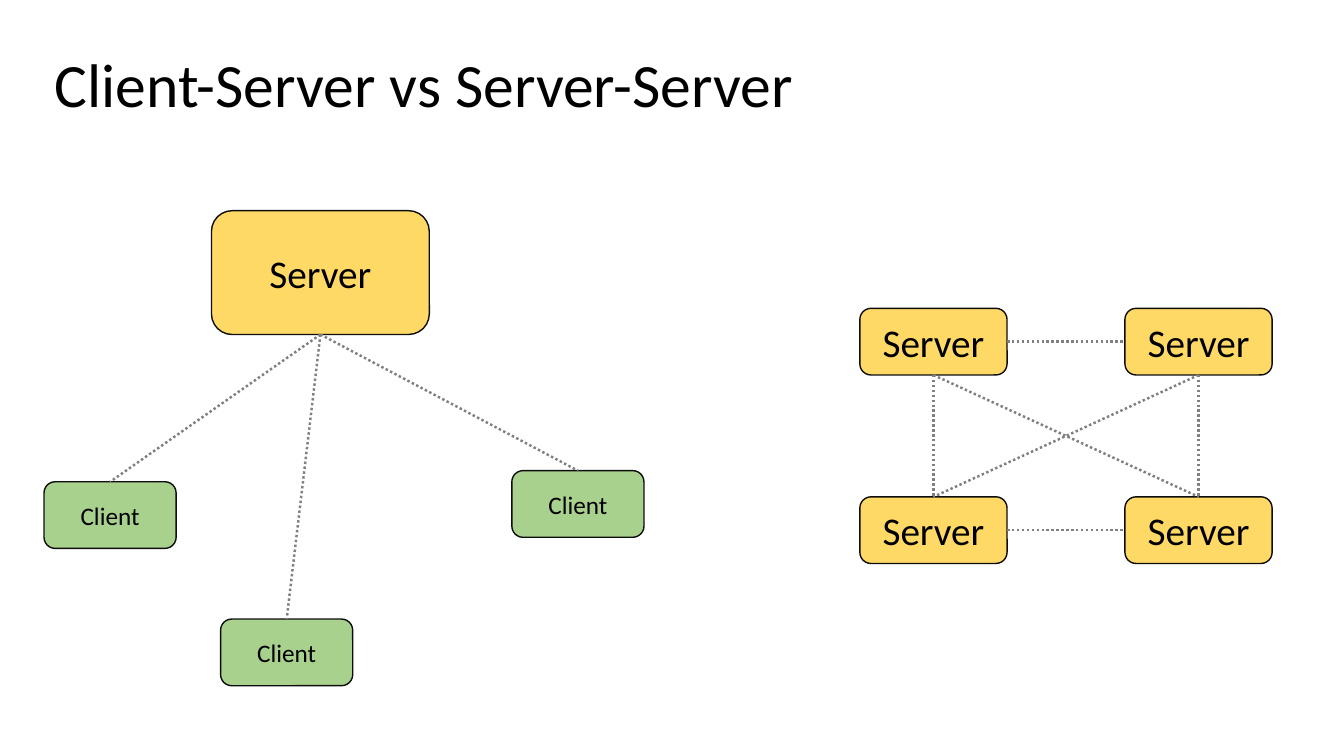
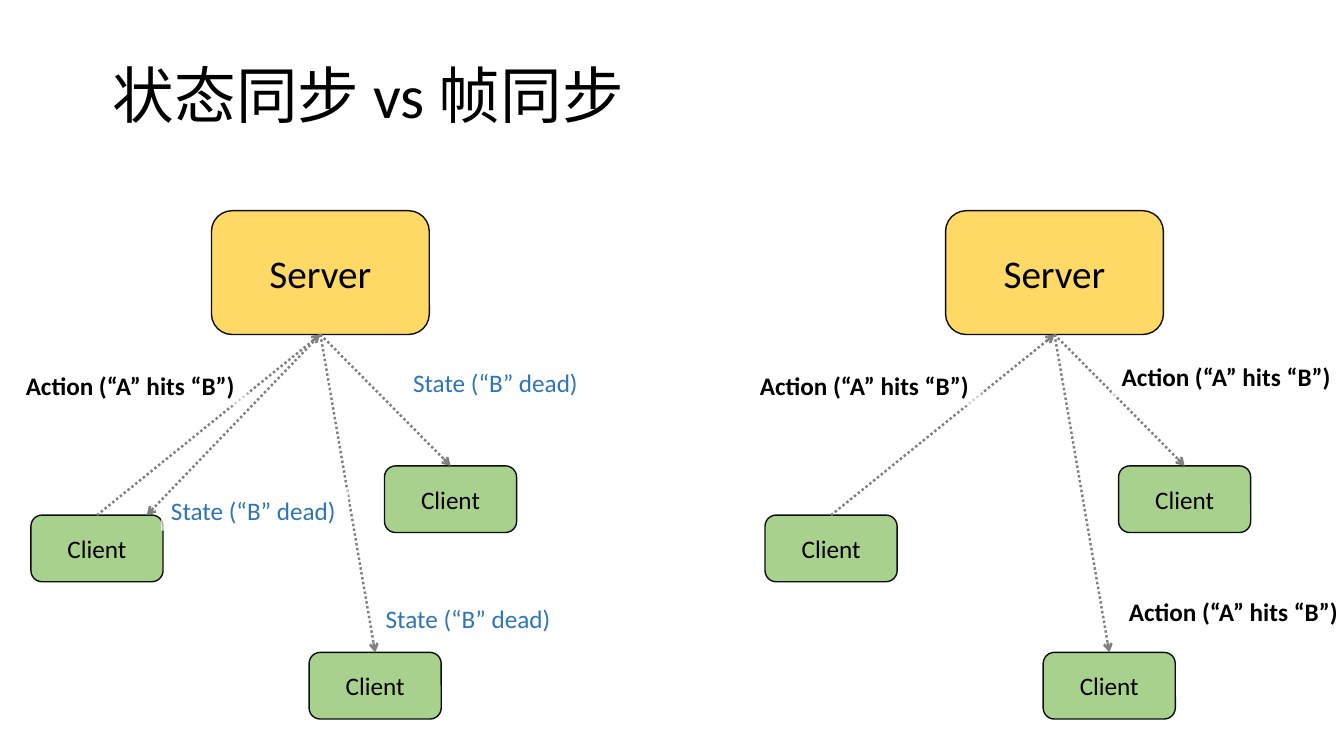
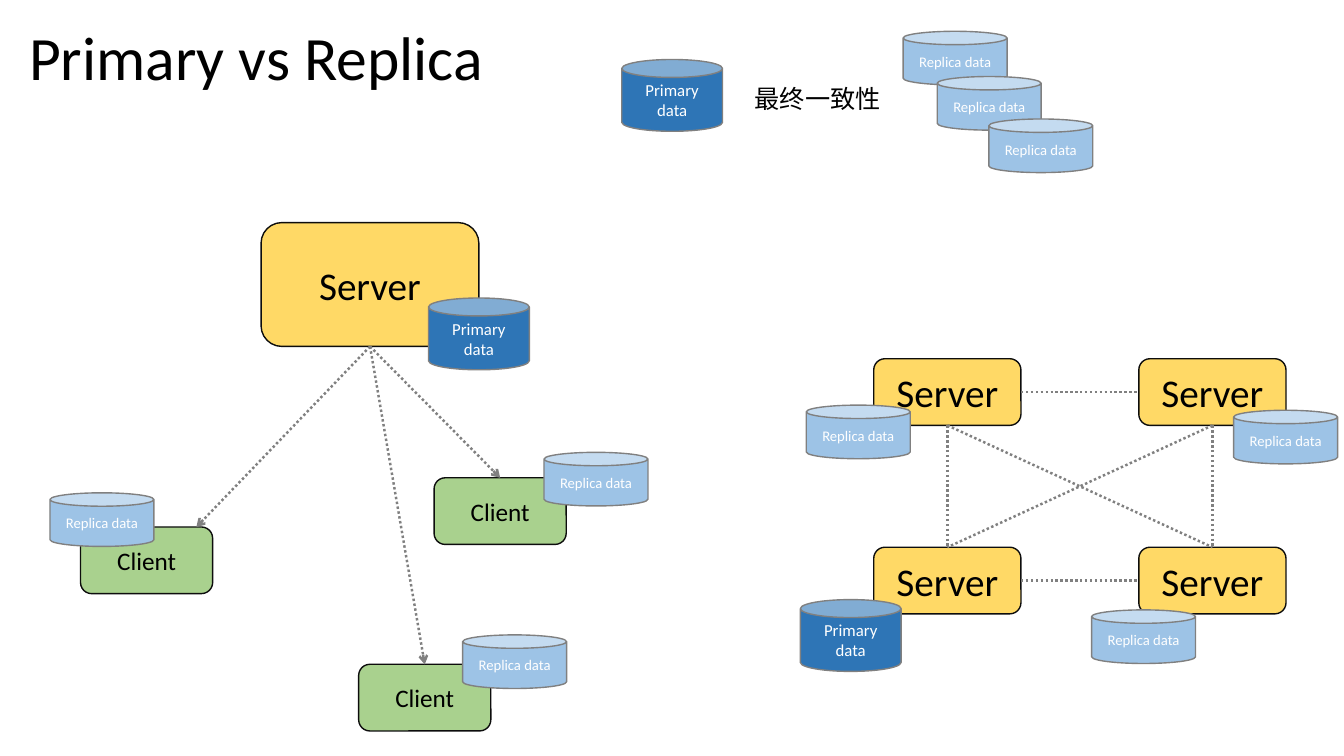
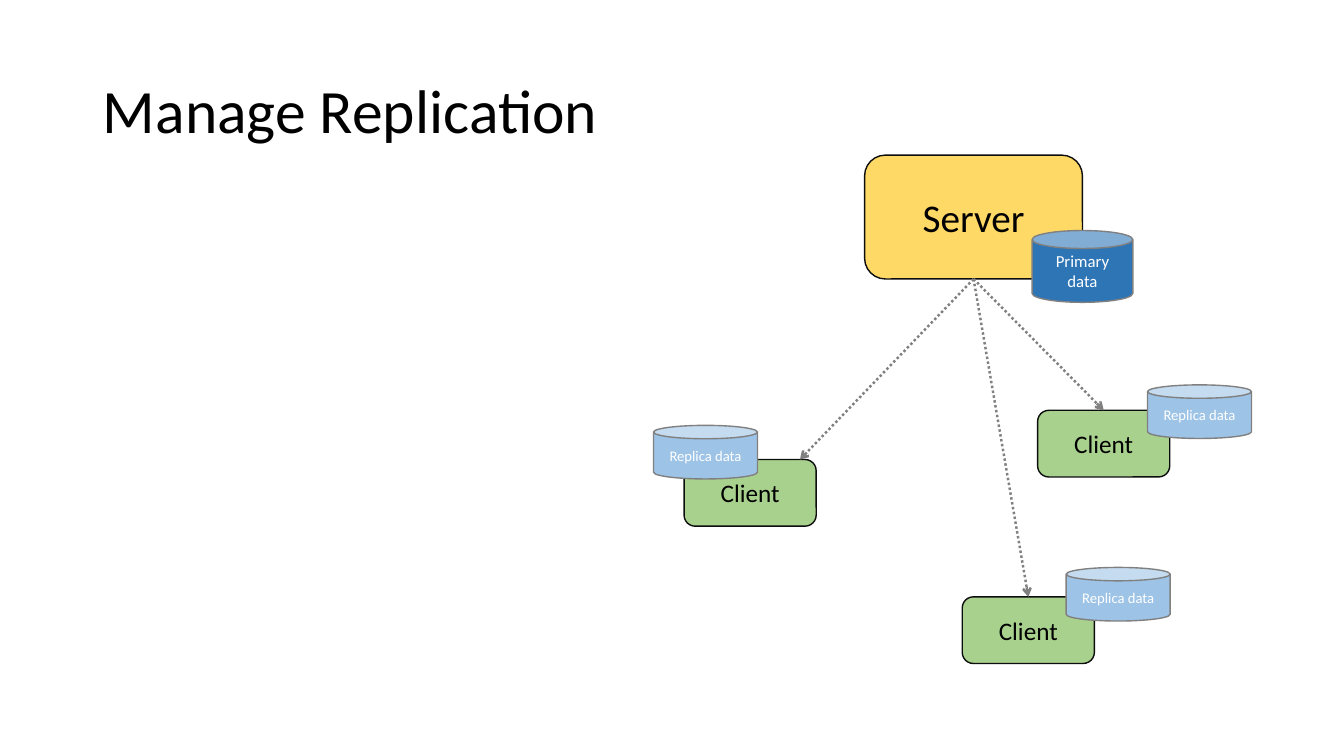
from lxml import etree
from pptx import Presentation
from pptx.dml.color import RGBColor
from pptx.enum.dml import MSO_LINE
from pptx.enum.shapes import MSO_CONNECTOR, MSO_SHAPE
from pptx.enum.text import MSO_ANCHOR, MSO_AUTO_SIZE, PP_ALIGN
from pptx.oxml.ns import qn
from pptx.util import Cm, Pt

COLORS = {
    "text": "000000",
    "light text": "FFFFFF",
    "state": "2E75B6",
    "server": "FFD966",
    "client": "A9D18E",
    "primary": "2E75B6",
    "replica": "9DC3E6",
    "outline": "0D0D0D",
    "link": "808080",
    "label": "FFFFFF",
}
FONT = "Calibri"

# Connection sites of a rounded rectangle
TOP, LEFT, BOTTOM, RIGHT = range(4)

# Client places, measured from the top left corner of their server
WIDE_CLIENTS = [(-4.22, 6.83), (0.23, 10.29), (7.57, 6.55)]
CLOSE_CLIENTS = [(-4.55, 7.67), (2.46, 11.13), (4.36, 6.43)]
STAR_REPLICAS = [(-5.32, 6.81), (7.13, 5.79), (5.08, 10.39)]
RETURN_OFFSET = 2.92  # from a client's left edge to its incoming arrow


def color(name):
    return RGBColor.from_string(COLORS[name])


class Deck:
    """Holds the style and the current slide."""

    def __init__(self):
        self.presentation = Presentation()
        self.presentation.slide_width = Cm(33.87)
        self.presentation.slide_height = Cm(19.05)
        self.slide = None

    # Text and titles
    def add_text(self, frame, text, size, ink="text", bold=False, align=PP_ALIGN.LEFT):
        paragraph = frame.paragraphs[0]
        paragraph.alignment = align
        run = paragraph.add_run()
        run.text = text
        run.font.name = FONT
        run.font.size = Pt(size)
        run.font.bold = bold
        run.font.color.rgb = color(ink)
        return paragraph

    def new_slide(self, title, left, top, height=3.68):
        layout = self.presentation.slide_layouts[5]
        self.slide = self.presentation.slides.add_slide(layout)
        shape = self.slide.shapes.title
        shape.left, shape.top = Cm(left), Cm(top)
        shape.width, shape.height = Cm(29.21), Cm(height)
        frame = shape.text_frame
        frame.auto_size = MSO_AUTO_SIZE.NONE
        frame.vertical_anchor = MSO_ANCHOR.MIDDLE
        self.add_text(frame, title, 44).line_spacing = 0.9

    def label(self, text, left, top, width, ink="text", bold=False, filled=True):
        shape = self.slide.shapes.add_textbox(Cm(left), Cm(top), Cm(width), Cm(1.02))
        if filled:
            shape.fill.solid()
            shape.fill.fore_color.rgb = color("label")
            fill_color = shape._element.spPr.find(qn("a:solidFill"))[0]
            etree.SubElement(fill_color, qn("a:alpha"), val="66000")
        shape.text_frame.word_wrap = False
        shape.text_frame.auto_size = MSO_AUTO_SIZE.SHAPE_TO_FIT_TEXT
        self.add_text(shape.text_frame, text, 18, ink, bold)

    def action(self, left, top):
        self.label("Action (“A” hits “B”)", left, top, 5.84, bold=True)

    def state(self, left, top):
        self.label("State (“B” dead)", left, top, 4.72, ink="state")

    # Nodes
    def node(self, kind, box, fill, outline, text, size, ink="text"):
        shape = self.slide.shapes.add_shape(kind, *map(Cm, box))
        shape.shadow.inherit = False
        shape.fill.solid()
        shape.fill.fore_color.rgb = color(fill)
        shape.line.color.rgb = color(outline)
        shape.line.width = Pt(1)
        shape.text_frame.word_wrap = True
        shape.text_frame.vertical_anchor = MSO_ANCHOR.MIDDLE
        self.add_text(shape.text_frame, text, size, ink, align=PP_ALIGN.CENTER)
        return shape

    def server(self, left, top, width=5.49, height=3.12):
        return self.node(MSO_SHAPE.ROUNDED_RECTANGLE, (left, top, width, height),
                         "server", "outline", "Server", 28)

    def client(self, left, top):
        return self.node(MSO_SHAPE.ROUNDED_RECTANGLE, (left, top, 3.33, 1.68),
                         "client", "outline", "Client", 18)

    def primary(self, left, top):
        self.node(MSO_SHAPE.CAN, (left, top, 2.54, 1.81),
                  "primary", "link", "Primary data", 12, "light text")

    def replica(self, left, top):
        self.node(MSO_SHAPE.CAN, (left, top, 2.62, 1.35),
                  "replica", "link", "Replica data", 10.5, "light text")

    # Links
    def link(self, start, start_site, end, end_site=TOP, arrow=False):
        """Join two shapes; the end may also be a plain (x, y) point."""
        loose = isinstance(end, tuple)
        x, y = end if loose else (0, 0)
        connector = self.slide.shapes.add_connector(MSO_CONNECTOR.STRAIGHT, x, y, x, y)
        connector.begin_connect(start, start_site)
        if not loose:
            connector.end_connect(end, end_site)
        connector.line.color.rgb = color("link")
        connector.line.width = Pt(1.75)
        connector.line.dash_style = MSO_LINE.ROUND_DOT
        properties = connector._element.spPr
        if arrow:
            etree.SubElement(properties.find(qn("a:ln")), qn("a:tailEnd"), type="arrow")
        etree.SubElement(properties, qn("a:effectLst"))

    def return_link(self, server, client):
        point = (client.left + Cm(RETURN_OFFSET), client.top)
        self.link(server, BOTTOM, point, arrow=True)

    # Diagrams
    def star(self, left, top, offsets):
        server = self.server(left, top)
        clients = [self.client(left + x, top + y) for x, y in offsets]
        return server, clients

    def replicated_star(self, left, top):
        server, (first, *others) = self.star(left, top, CLOSE_CLIENTS)
        for client in others:
            self.link(server, BOTTOM, client, arrow=True)
        self.return_link(server, first)
        self.primary(left + 4.22, top + 1.9)
        for x, y in STAR_REPLICAS:
            self.replica(left + x, top + y)

    def synchronised_star(self, left, top, label, offsets, returns):
        """One client reports an action; the server sends labelled updates."""
        server, (sender, *others) = self.star(left, top, CLOSE_CLIENTS)
        self.link(sender, TOP, server, BOTTOM, arrow=True)
        self.action(left - 4.93, top + 3.89)
        for client in others:
            self.link(server, BOTTOM, client, arrow=True)
        for x, y in offsets:
            label(left + x, top + y)
        if returns:
            self.return_link(server, sender)

    def mesh(self, left, top):
        """Four servers, each joined to all the others."""
        upper, lower = [
            [self.server(left + column * 6.68, top + row * 4.75, 3.71, 1.68)
             for column in range(2)]
            for row in range(2)
        ]
        for start in upper:
            for end in lower:
                self.link(start, BOTTOM, end)
        for start, end in (upper, lower):
            self.link(start, RIGHT, end, LEFT)


def main():
    deck = Deck()

    # Slide 1: the two network shapes
    deck.new_slide("Client-Server vs Server-Server", 1.12, 0.36)
    server, clients = deck.star(5.33, 5.31, WIDE_CLIENTS)
    for client in clients:
        deck.link(server, BOTTOM, client)
    deck.mesh(21.67, 7.77)

    # Slide 2: state updates on the left, forwarded actions on the right
    deck.new_slide("状态同步 vs 帧同步", 2.59, 0.64)
    deck.synchronised_star(5.33, 5.31, deck.state,
                           [(4.14, 9.78), (4.83, 3.81), (-1.27, 7.04)], returns=True)
    deck.synchronised_star(23.83, 5.31, deck.action,
                           [(4.19, 3.68), (4.37, 9.58)], returns=False)

    # Slide 3: where primary and replica data live
    deck.new_slide("Primary vs Replica", 0.48, 0.46, height=2.13)
    deck.replicated_star(6.58, 5.61)
    deck.mesh(22.02, 9.04)
    deck.primary(20.17, 15.11)
    for left, top in [(20.32, 10.21), (31.09, 10.34), (27.51, 15.37)]:
        deck.replica(left, top)
    # Eventual consistency at the top
    deck.label("最终一致性", 18.77, 1.98, 3.71, filled=False)
    deck.primary(15.67, 1.5)
    for left, top in [(22.76, 0.79), (23.62, 1.93), (24.92, 3)]:
        deck.replica(left, top)

    # Slide 4: replication from one server
    deck.new_slide("Manage Replication", 2.34, 1.02)
    deck.replicated_star(21.79, 3.91)

    deck.presentation.save("out.pptx")


if __name__ == "__main__":
    main()
